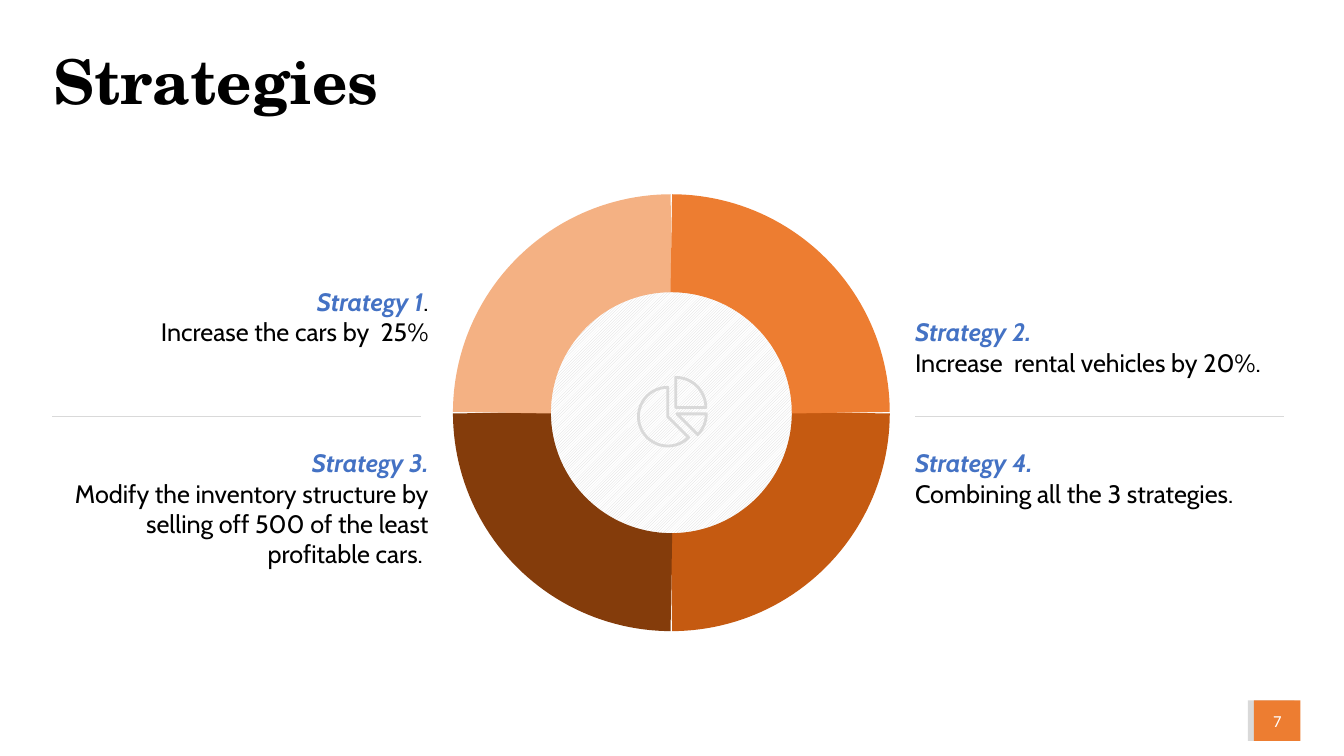
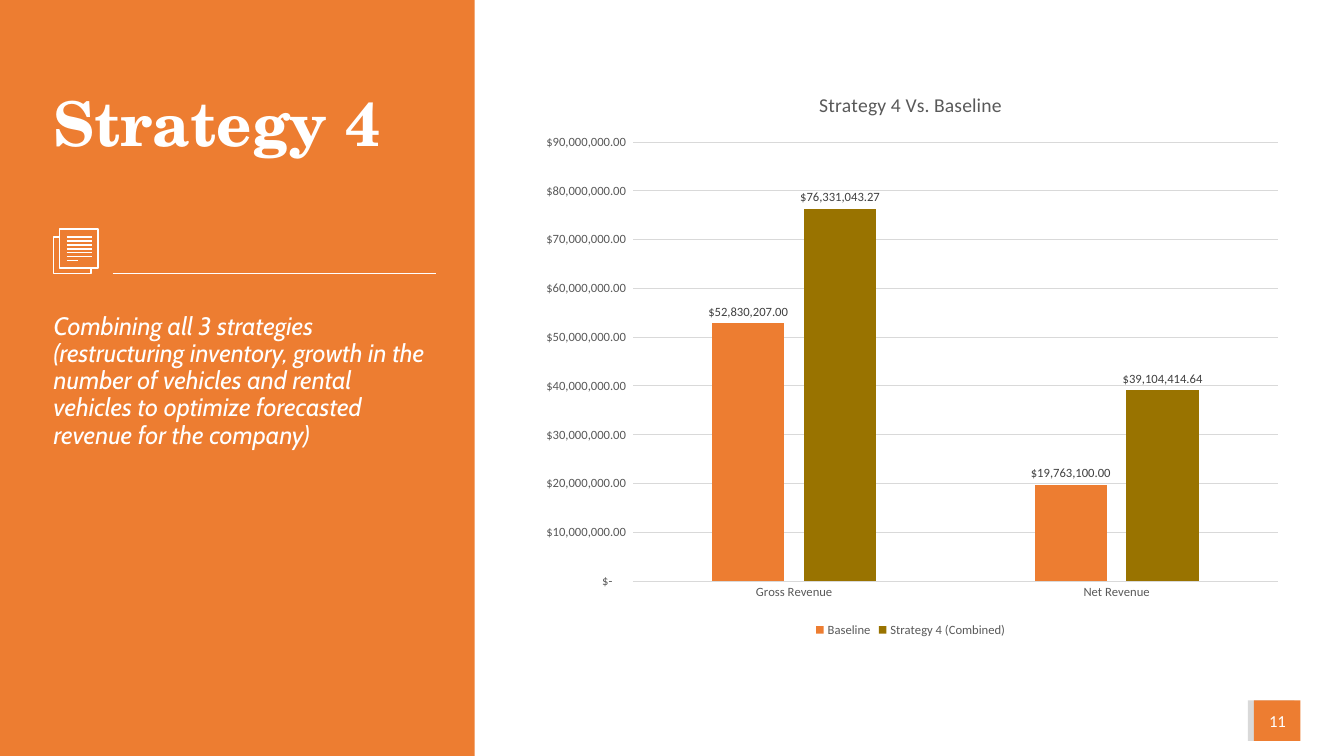
from dataclasses import dataclass

from lxml.etree import SubElement
from pptx import Presentation
from pptx.chart.data import CategoryChartData
from pptx.dml.color import RGBColor
from pptx.enum.chart import XL_CHART_TYPE, XL_LABEL_POSITION, XL_LEGEND_POSITION, XL_TICK_MARK
from pptx.enum.dml import MSO_PATTERN
from pptx.enum.shapes import MSO_CONNECTOR, MSO_SHAPE
from pptx.enum.text import MSO_ANCHOR, MSO_AUTO_SIZE, PP_ALIGN
from pptx.oxml.ns import qn
from pptx.util import Cm, Pt


@dataclass(frozen=True)
class Theme:
    orange: RGBColor = RGBColor(0xED, 0x7D, 0x31)
    rust: RGBColor = RGBColor(0xC5, 0x5A, 0x11)
    brown: RGBColor = RGBColor(0x84, 0x3C, 0x0B)
    peach: RGBColor = RGBColor(0xF4, 0xB1, 0x83)
    olive: RGBColor = RGBColor(0x99, 0x73, 0x00)
    blue: RGBColor = RGBColor(0x44, 0x72, 0xC4)
    black: RGBColor = RGBColor(0, 0, 0)
    white: RGBColor = RGBColor(0xFF, 0xFF, 0xFF)
    pale_gray: RGBColor = RGBColor(0xD9, 0xD9, 0xD9)
    gray: RGBColor = RGBColor(0x59, 0x59, 0x59)
    dark_gray: RGBColor = RGBColor(0x40, 0x40, 0x40)
    title_font: str = "TeX Gyre Schola"
    text_font: str = "Cabin"
    chart_font: str = "Calibri"
    title_size: Pt = Pt(44)
    text_size: Pt = Pt(18)
    chart_title_size: Pt = Pt(14)
    number_size: Pt = Pt(12)
    label_size: Pt = Pt(9)


theme = Theme()


def add_run(paragraph, text, font_name, size, color, bold=False, italic=False):
    run = paragraph.add_run()
    run.text = text
    run.font.name = font_name
    run.font.size = size
    run.font.color.rgb = color
    run.font.bold = bold
    run.font.italic = italic


def add_rule(shapes, left, right, y, color, width):
    """Draw a horizontal line without a shadow; left, right and y are in cm."""
    line = shapes.add_connector(MSO_CONNECTOR.STRAIGHT, Cm(left), Cm(y), Cm(right), Cm(y))
    line.line.color.rgb = color
    line.line.width = Pt(width)
    SubElement(line.element.spPr, qn("a:effectLst"))


presentation = Presentation()
presentation.slide_width, presentation.slide_height = Cm(33.87), Cm(19.05)
overview = presentation.slides.add_slide(presentation.slide_layouts[5])
combined = presentation.slides.add_slide(presentation.slide_layouts[1])

# Number badge on the master, colour panel behind the second slide
master_tree = presentation.slide_master.shapes.element
panel_tree = combined.shapes.element
for tree, position, left, top, width, height, color in (
    (master_tree, len(master_tree), 31.45, 17.65, 1.17, 1.02, theme.pale_gray),
    (master_tree, len(master_tree) + 1, 31.6, 17.65, 1.17, 1.02, theme.orange),
    (panel_tree, 2, 0, 0, 11.96, 19.05, theme.orange),
):
    block = combined.shapes.add_shape(
        MSO_SHAPE.RECTANGLE, Cm(left), Cm(top), Cm(width), Cm(height))
    block.shadow.inherit = False
    block.fill.solid()
    block.fill.fore_color.rgb = color
    block.line.fill.background()
    tree.insert(position, block.element)

# Titles and slide numbers
for slide, text, width, height, color, number in (
    (overview, "Strategies", 31.67, 2.21, theme.black, "7"),
    (combined, "Strategy 4", 10.06, 4.32, theme.white, "11"),
):
    title = slide.shapes.title
    title.left, title.top, title.width, title.height = Cm(1.1), Cm(1.02), Cm(width), Cm(height)
    title.text_frame.auto_size = MSO_AUTO_SIZE.NONE
    title.text_frame.vertical_anchor = MSO_ANCHOR.MIDDLE
    paragraph = title.text_frame.paragraphs[0]
    paragraph.alignment = PP_ALIGN.LEFT
    paragraph.line_spacing = 0.9
    add_run(paragraph, text, theme.title_font, theme.title_size, color, bold=True)

    number_box = slide.shapes.add_textbox(Cm(31.8), Cm(17.81), Cm(0.79), Cm(0.69))
    frame = number_box.text_frame
    frame.margin_left = frame.margin_right = frame.margin_top = frame.margin_bottom = 0
    frame.word_wrap = True
    frame.vertical_anchor = MSO_ANCHOR.MIDDLE
    frame.paragraphs[0].alignment = PP_ALIGN.CENTER
    add_run(frame.paragraphs[0], number, theme.chart_font, theme.number_size, theme.white)

# Ring with a hatched centre and a pie icon
center_x, center_y, hole_radius, ring_radius = 16.92, 10.4, 3.65, 4.27
hole = overview.shapes.add_shape(
    MSO_SHAPE.OVAL, Cm(center_x - hole_radius), Cm(center_y - hole_radius),
    Cm(2 * hole_radius), Cm(2 * hole_radius))
hole.shadow.inherit = False
hole.fill.patterned()
hole.fill.pattern = MSO_PATTERN.LIGHT_UPWARD_DIAGONAL
hole.fill.fore_color.rgb = theme.pale_gray
hole.fill.back_color.rgb = theme.white
hole.line.fill.background()

ring_colors = (theme.rust, theme.brown, theme.peach, theme.orange)
sectors = [
    (MSO_SHAPE.ARC, center_x, center_y, ring_radius, 90 * quarter, 90 * (quarter + 1), color, 70)
    for quarter, color in enumerate(ring_colors)
]
sectors += [
    (MSO_SHAPE.PIE, x, y, radius, start, end, theme.pale_gray, 2)
    for x, y, radius, start, end in (
        (17.03, 10.27, 0.76, 270, 360), (17.06, 10.43, 0.74, 0, 45), (16.83, 10.5, 0.74, 45, 270))
]
adjustment_per_degree = 0.6
for geometry, x, y, radius, start, end, color, width in sectors:
    sector = overview.shapes.add_shape(
        geometry, Cm(x - radius), Cm(y - radius), Cm(2 * radius), Cm(2 * radius))
    sector.adjustments[0] = start * adjustment_per_degree
    sector.adjustments[1] = end % 360 * adjustment_per_degree
    sector.shadow.inherit = False
    sector.fill.background()
    sector.line.color.rgb = color
    sector.line.width = Pt(width)

# Strategy texts on both sides of the ring
for heading, mark, detail, left, top, height, alignment in (
    ("Strategy 1", ".", "Increase the cars by  25%", 1.1, 7.21, 1.55, PP_ALIGN.RIGHT),
    ("Strategy 3.", "", "Modify the inventory structure by selling off 500 of the least "
     "profitable cars. ", 1.1, 11.28, 3.07, PP_ALIGN.RIGHT),
    ("Strategy 2.", "", "Increase  rental vehicles by 20%.", 23.06, 7.98, 1.55, PP_ALIGN.LEFT),
    ("Strategy 4.", "", "Combining all the 3 strategies.", 23.06, 11.28, 1.55, PP_ALIGN.LEFT),
):
    frame = overview.shapes.add_textbox(Cm(left), Cm(top), Cm(9.7), Cm(height)).text_frame
    frame.margin_left = frame.margin_right = frame.margin_top = frame.margin_bottom = 0
    frame.word_wrap = True
    paragraph = frame.paragraphs[0]
    paragraph.alignment = alignment
    add_run(paragraph, heading, theme.text_font, theme.text_size, theme.blue,
            bold=True, italic=True)
    if mark:
        add_run(paragraph, mark, theme.text_font, theme.text_size, theme.black)
    paragraph = frame.add_paragraph()
    paragraph.alignment = alignment
    add_run(paragraph, detail, theme.text_font, theme.text_size, theme.black)

for left in (1.32, 23.06):
    add_rule(overview.shapes, left, left + 9.29, 10.49, theme.pale_gray, 0.75)

# Description on the panel
body = combined.placeholders[1]
body.left, body.top, body.width, body.height = Cm(1.1), Cm(7.77), Cm(10.06), Cm(9.93)
body.text_frame.auto_size = MSO_AUTO_SIZE.NONE
paragraph = body.text_frame.paragraphs[0]
properties = paragraph._p.get_or_add_pPr()
properties.set("marL", "0")
properties.set("indent", "0")
SubElement(properties, qn("a:buNone"))
paragraph.line_spacing = 0.9
paragraph.space_before = Pt(0)
add_run(paragraph, "Combining all 3 strategies (restructuring inventory, growth in the number of "
        "vehicles and rental vehicles to optimize forecasted revenue for the company)",
        theme.text_font, theme.text_size, theme.white, italic=True)

# Document icon and rule
icon = combined.shapes.add_group_shape()
front_page = icon.shapes.add_shape(MSO_SHAPE.RECTANGLE, Cm(1.5), Cm(5.77), Cm(0.97), Cm(0.99))
outline = icon.shapes.build_freeform(Cm(1.5), Cm(5.97))
outline.add_line_segments(
    [(Cm(x), Cm(y)) for x, y in ((1.35, 5.97), (1.35, 6.9), (2.29, 6.9), (2.29, 6.76))],
    close=False)
back_page = outline.convert_to_shape()
for page in (front_page, back_page):
    page.shadow.inherit = False
    page.fill.background()
    page.line.color.rgb = theme.white
    page.line.width = Pt(1)
line_count = 7
for index in range(line_count):
    right = 1.96 if index == line_count - 1 else 2.31
    add_rule(icon.shapes, 1.68, right, 5.97 + 0.1 * index, theme.white, 1)
add_rule(combined.shapes, 2.84, 11, 6.9, theme.white, 0.5)

# Revenue chart
money_format = r'_("$"* #,##0.00_);_("$"* \(#,##0.00\);_("$"* "-"??_);_(@_)'
chart_data = CategoryChartData(number_format=money_format)
chart_data.categories = ["Gross Revenue", "Net Revenue"]
chart_data.add_series("Baseline", (52830207, 19763100))
chart_data.add_series("Strategy 4 (Combined)", (76331043.27, 39104414.64))
chart = combined.shapes.add_chart(
    XL_CHART_TYPE.COLUMN_CLUSTERED, Cm(13.31), Cm(1.78), Cm(19.28), Cm(14.38), chart_data).chart
chart.font.name = theme.chart_font
chart.font.size = theme.label_size
chart.font.color.rgb = theme.gray
chart.has_title = True
add_run(chart.chart_title.text_frame.paragraphs[0], "Strategy 4 Vs. Baseline",
        theme.chart_font, theme.chart_title_size, theme.gray)
chart.has_legend = True
chart.legend.position = XL_LEGEND_POSITION.BOTTOM
chart.legend.include_in_layout = False

plot = chart.plots[0]
plot.vary_by_categories = False
plot.gap_width = 219
plot.overlap = -27
for series, color in zip(plot.series, (theme.orange, theme.olive)):
    series.format.fill.solid()
    series.format.fill.fore_color.rgb = color
plot.has_data_labels = True
labels = plot.data_labels
labels.show_value = True
labels.position = XL_LABEL_POSITION.OUTSIDE_END
labels.number_format = money_format
labels.number_format_is_linked = False
labels.font.name = theme.chart_font
labels.font.size = theme.label_size
labels.font.color.rgb = theme.dark_gray

for axis in (chart.category_axis, chart.value_axis):
    axis.major_tick_mark = axis.minor_tick_mark = XL_TICK_MARK.NONE
value_axis = chart.value_axis
value_axis.minimum_scale, value_axis.maximum_scale = 0, 90000000
value_axis.major_unit = 10000000
value_axis.tick_labels.number_format = money_format
value_axis.tick_labels.number_format_is_linked = False
value_axis.format.line.fill.background()
for line in (chart.category_axis.format.line, value_axis.major_gridlines.format.line):
    line.color.rgb = theme.pale_gray
    line.width = Pt(0.75)

presentation.save("out.pptx")
